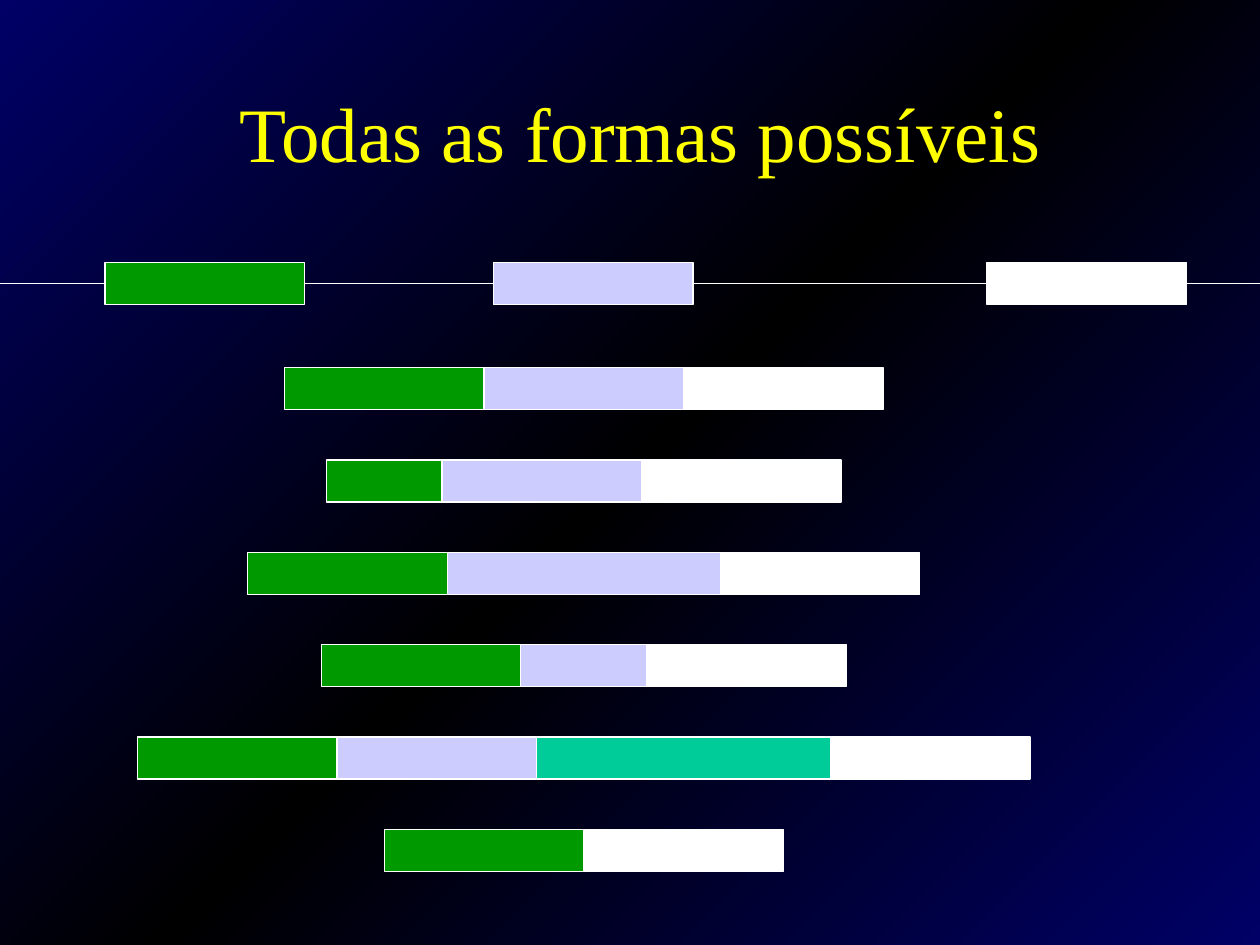
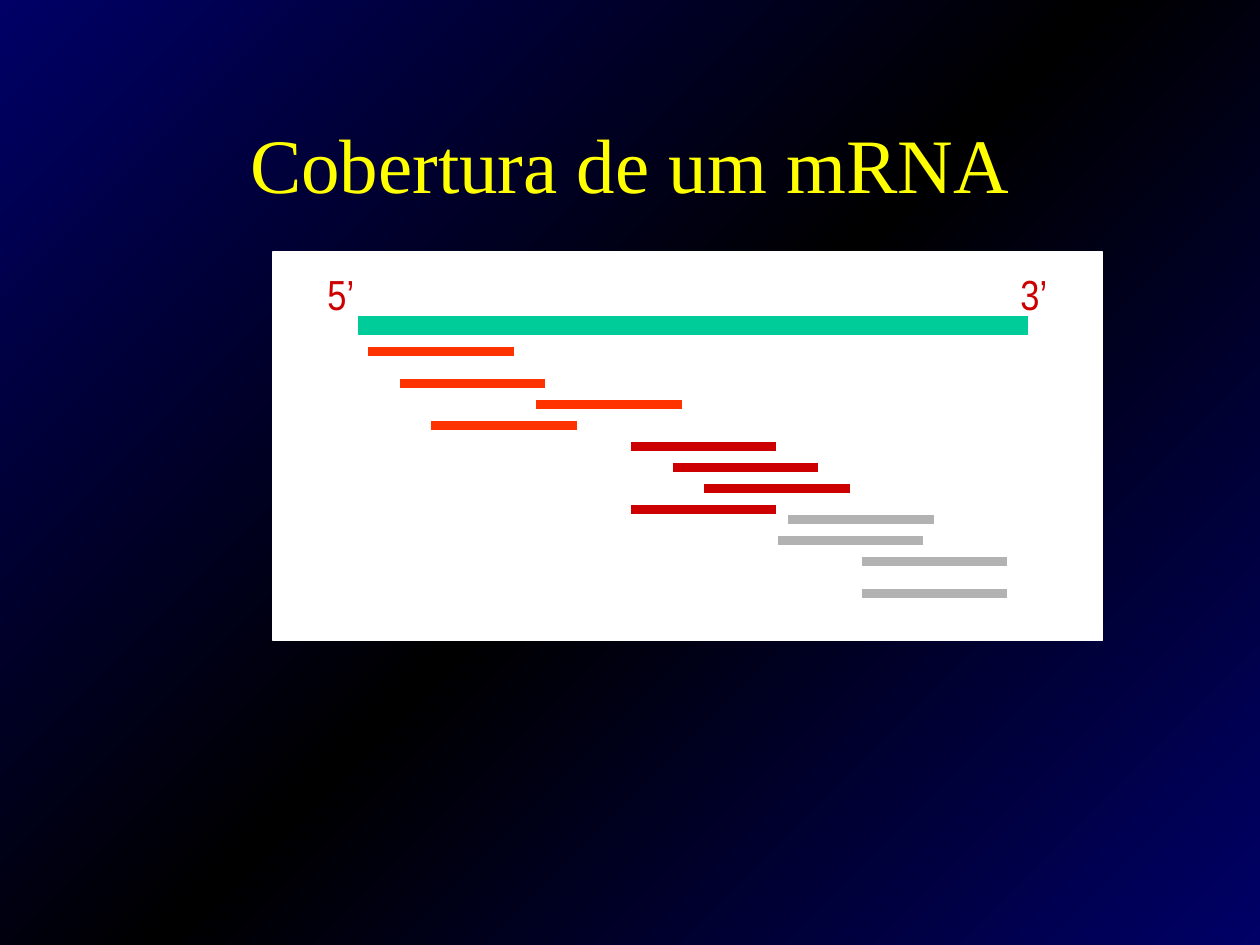
import copy

import pptx
import pptx.dml.color
import pptx.enum.shapes
import pptx.enum.text
import pptx.oxml.ns
import pptx.util
from lxml import etree

Pt = pptx.util.Pt
qn = pptx.oxml.ns.qn

NAVY, BLACK, WHITE, YELLOW = "000066", "000000", "FFFFFF", "FFFF00"
GREEN, LILAC, TEAL = "009900", "CCCCFF", "00CC99"
ORANGE, RED, GRAY = "FF3300", "CC0000", "B2B2B2"


def color(value):
    return pptx.dml.color.RGBColor.from_string(value)


class Deck:
    def __init__(self):
        self.presentation = pptx.Presentation()
        self.presentation.slide_width = Pt(720)
        self.presentation.slide_height = Pt(540)
        self.slide = None

    def add_slide(self, title, left, top):
        self.slide = self.presentation.slides.add_slide(self.presentation.slide_layouts[6])
        self.paint_background()
        shape = self.text(title, left, top, 612, 90, "Times New Roman", 44, YELLOW)
        shape.text_frame.word_wrap = True
        shape.text_frame.vertical_anchor = pptx.enum.text.MSO_ANCHOR.MIDDLE
        shape.text_frame.paragraphs[0].alignment = pptx.enum.text.PP_ALIGN.CENTER

    def paint_background(self):
        fill = self.slide.background.fill
        fill.gradient()
        fill.gradient_angle = 135
        stop_list = self.slide.element.find(".//" + qn("a:gsLst"))
        stop_list.insert(1, copy.deepcopy(stop_list[0]))
        for stop, position, value in zip(fill.gradient_stops, (0, 0.5, 1), (NAVY, BLACK, NAVY)):
            stop.position = position
            stop.color.rgb = color(value)

    def text(self, content, left, top, width, height, font, size, value):
        shape = self.slide.shapes.add_textbox(Pt(left), Pt(top), Pt(width), Pt(height))
        shape.text_frame.text = content
        run = shape.text_frame.paragraphs[0].runs[0]
        run.font.name = font
        run.font.size = Pt(size)
        run.font.color.rgb = color(value)
        return shape

    def bar(self, left, top, width, height, value, line_width):
        shape = self.slide.shapes.add_shape(
            pptx.enum.shapes.MSO_SHAPE.RECTANGLE, Pt(left), Pt(top), Pt(width), Pt(height))
        shape.shadow.inherit = False
        shape.fill.solid()
        shape.fill.fore_color.rgb = color(value)
        shape.line.color.rgb = color(WHITE)
        shape.line.width = Pt(line_width)
        return shape

    def line(self, start, end, y, before=None, after=None):
        connector = self.slide.shapes.add_connector(
            pptx.enum.shapes.MSO_CONNECTOR.STRAIGHT, Pt(start), Pt(y), Pt(end), Pt(y))
        connector.line.color.rgb = color(WHITE)
        connector.line.width = Pt(0.75)
        etree.SubElement(connector.element.spPr, qn("a:effectLst"))
        if before is not None:
            connector.begin_connect(before, 3)
        if after is not None:
            connector.end_connect(after, 1)


def build_splicing_forms(deck):
    deck.add_slide("Todas as formas possíveis", 60, 30)
    exon, exon_height, gene_top = 114, 24, 150

    gene = [(60, GREEN), (282, LILAC), (564, WHITE)]
    exons = [deck.bar(left, gene_top, exon, exon_height, value, 0.75) for left, value in gene]
    starts = [0] + [left + exon for left, _ in gene]
    ends = [left for left, _ in gene] + [720]
    for start, end, before, after in zip(starts, ends, [None] + exons, exons + [None]):
        deck.line(start, end, gene_top + exon_height / 2, before, after)

    forms = [
        [(exon, GREEN), (exon, LILAC), (exon, WHITE)],
        [(66, GREEN), (exon, LILAC), (exon, WHITE)],
        [(exon, GREEN), (156, LILAC), (exon, WHITE)],
        [(exon, GREEN), (72, LILAC), (exon, WHITE)],
        [(exon, GREEN), (exon, LILAC), (168, TEAL), (exon, WHITE)],
        [(exon, GREEN), (exon, WHITE)],
    ]
    center, first_top, pitch = 333.6, 210, 52.8
    for row, form in enumerate(forms):
        left = center - sum(width for width, _ in form) / 2
        for width, value in form:
            deck.bar(left, first_top + row * pitch, width, exon_height, value, 0.75)
            left += width


def build_mrna_coverage(deck):
    deck.add_slide("Cobertura de um mRNA", 54, 48)
    deck.bar(156, 144, 474, 222, WHITE, 1)
    deck.bar(204, 180, 384, 12, TEAL, 1)
    for label, left in (("5’", 180), ("3’", 576)):
        shape = deck.text(label, left, 150, 30, 36, "Arial Narrow", 24, RED)
        shape.text_frame.word_wrap = False
        shape.text_frame.paragraphs[0].space_before = Pt(15)

    reads = {
        ORANGE: [(210, 198), (228, 216), (306, 228), (246, 240)],
        RED: [(360, 252), (384, 264), (402, 276), (360, 288)],
        GRAY: [(450, 294), (444, 306), (492, 318), (492, 336)],
    }
    for value, places in reads.items():
        for left, top in places:
            deck.bar(left, top, 84, 6, value, 1)


def main():
    deck = Deck()
    build_splicing_forms(deck)
    build_mrna_coverage(deck)
    deck.presentation.save("out.pptx")


if __name__ == "__main__":
    main()
